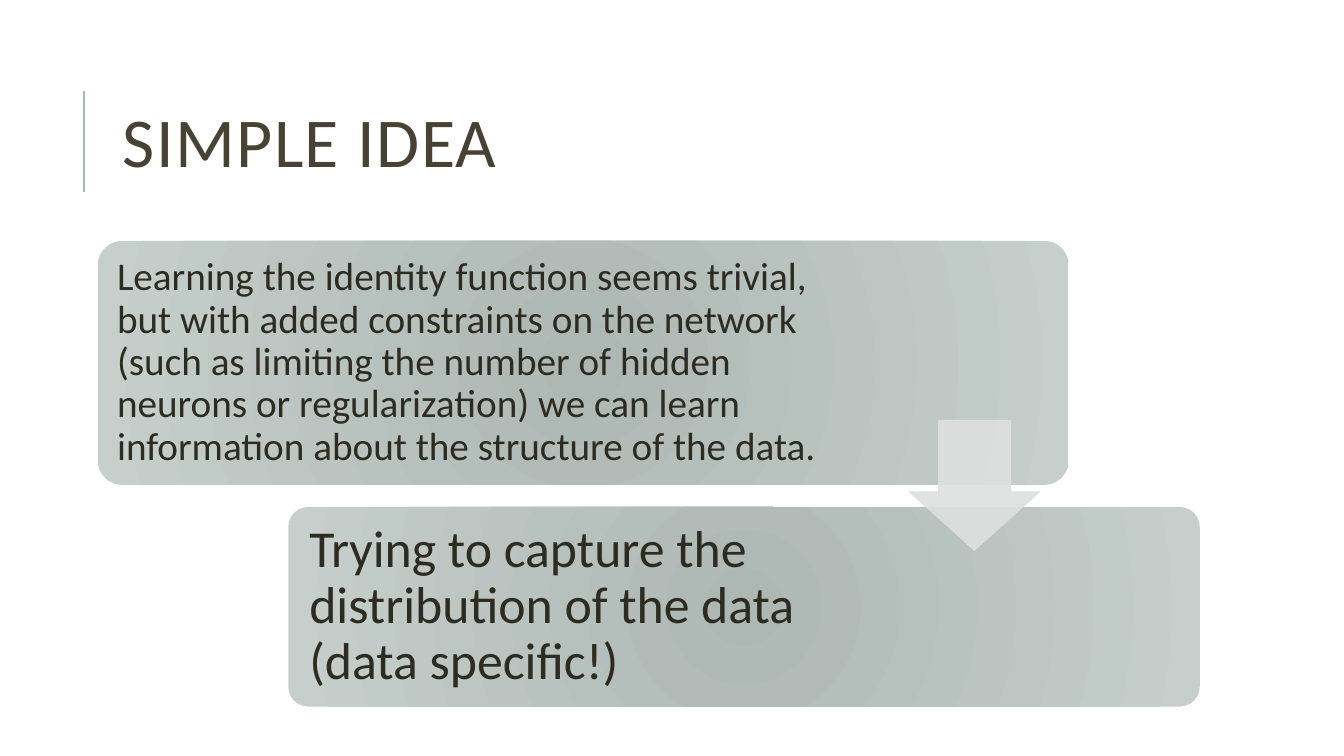
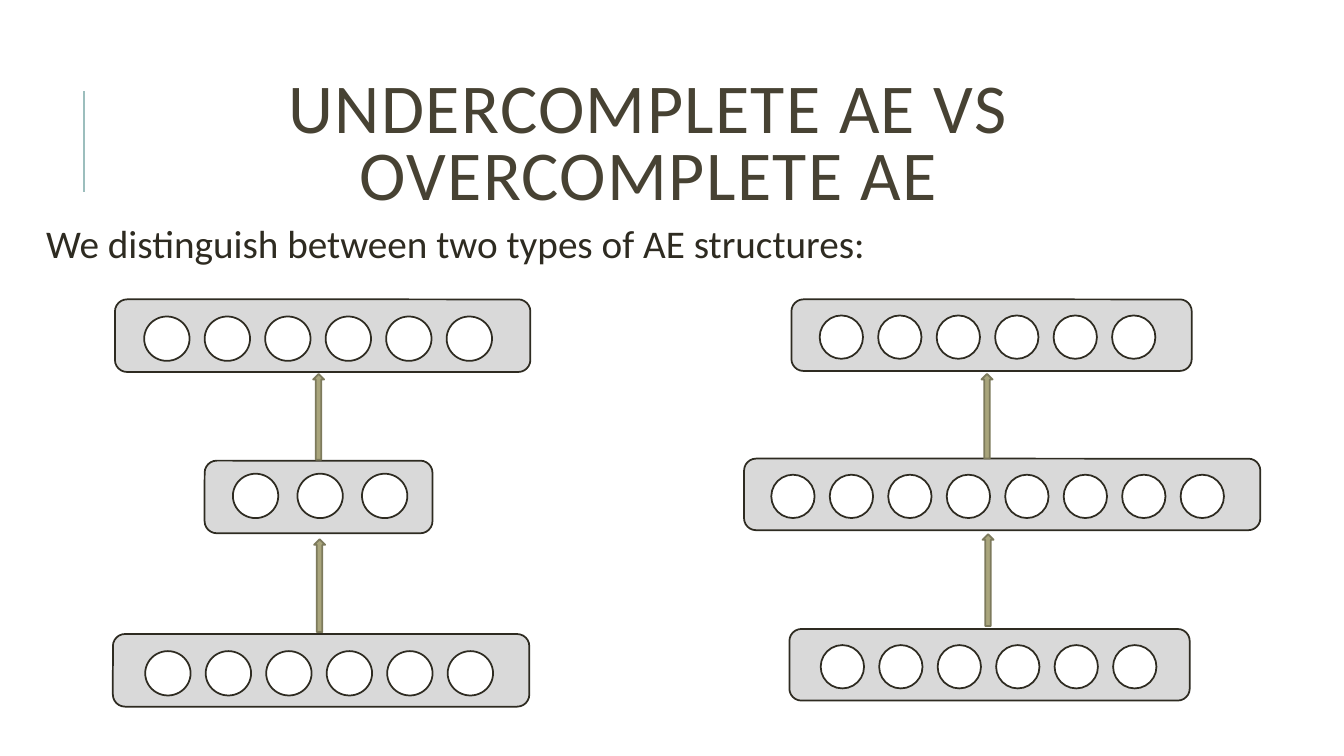
from collections import namedtuple

import lxml.etree
import pptx
import pptx.dml.color
import pptx.enum.shapes
import pptx.enum.text
import pptx.oxml.ns
import pptx.util

Inches = pptx.util.Inches
Pt = pptx.util.Pt
SHAPE = pptx.enum.shapes.MSO_SHAPE
ALIGN = pptx.enum.text.PP_ALIGN
ANCHOR = pptx.enum.text.MSO_ANCHOR
qn = pptx.oxml.ns.qn

FONT = "Calibri"
COLORS = {
    "title": "474233",
    "text": "2E2B21",
    "accent_line": "9CBEBD",
    "card_center": "ADB7B3",
    "card_edge": "C6CFCB",
    "down_arrow": "DDE0DF",
    "layer": "D9D9D9",
    "neuron": "FFFFFF",
    "arrow": "A9A57C",
    "arrow_line": "7D7A5C",
}

# Offsets are inches: layers and arrows from the network's corner,
# the first neuron from the layer's corner.
Layer = namedtuple("Layer", "left top width neurons neuron_left neuron_top")
Arrow = namedtuple("Arrow", "center top height")
Network = namedtuple("Network", "layer_height neuron_size layers arrows")

UNDERCOMPLETE = Network(
    layer_height=0.72,
    neuron_size=(0.45, 0.44),
    layers=[
        (Layer(0.02, 0, 4.12, 6, 0.29, 0.17), 0.6),
        (Layer(0, 3.32, 4.13, 6, 0.32, 0.17), 0.6),
        (Layer(0.91, 1.6, 2.26, 3, 0.28, 0.13), 0.64),
    ],
    arrows=[Arrow(2.05, 2.38, 0.92), Arrow(2.04, 0.74, 0.85)],
)
OVERCOMPLETE = Network(
    layer_height=0.71,
    neuron_size=(0.43, 0.43),
    layers=[
        (Layer(0.47, 0, 3.97, 6, 0.28, 0.16), 0.58),
        (Layer(0.45, 3.27, 3.97, 6, 0.31, 0.16), 0.58),
        (Layer(0, 1.58, 5.12, 8, 0.27, 0.16), 0.58),
    ],
    arrows=[Arrow(2.42, 2.33, 0.91), Arrow(2.41, 0.74, 0.84)],
)


def rgb(name):
    return pptx.dml.color.RGBColor.from_string(COLORS[name])


def add_shape(slide, kind, box, fill=None, line=None, line_width=1.25):
    shape = slide.shapes.add_shape(kind, *map(Inches, box))
    shape.shadow.inherit = False
    if fill:
        shape.fill.solid()
        shape.fill.fore_color.rgb = rgb(fill)
    if line:
        shape.line.color.rgb = rgb(line)
        shape.line.width = Pt(line_width)
    else:
        shape.line.fill.background()
    return shape


def write_text(frame, text, size, color="text", align=ALIGN.LEFT,
               line_spacing=None, anchor=ANCHOR.TOP):
    frame.word_wrap = True
    frame.vertical_anchor = anchor
    paragraph = frame.paragraphs[0]
    paragraph.alignment = align
    paragraph.line_spacing = line_spacing
    run = paragraph.add_run()
    run.text = text
    run.font.name = FONT
    run.font.size = Pt(size)
    run.font.color.rgb = rgb(color)
    return run


def add_title_slide(presentation, title, align=ALIGN.LEFT):
    """Add a blank slide with the shared accent line and title."""
    slide = presentation.slides.add_slide(presentation.slide_layouts[6])
    accent = slide.shapes.add_connector(
        pptx.enum.shapes.MSO_CONNECTOR.STRAIGHT,
        *map(Inches, (0.83, 1.9, 0.83, 0.9)))
    accent.line.color.rgb = rgb("accent_line")
    accent.line.width = Pt(1.5)
    lxml.etree.SubElement(accent._element.spPr, qn("a:effectLst"))

    box = slide.shapes.add_textbox(*map(Inches, (1.12, 0.64, 10.63, 1.64)))
    run = write_text(box.text_frame, title, 50, "title", align, 0.8,
                     ANCHOR.MIDDLE)
    run.font._element.set("spc", "100")
    return slide


def set_radial_fill(shape, center, edge):
    shape.fill.gradient()
    for stop, color in zip(shape.fill.gradient_stops, (center, edge)):
        stop.color.rgb = rgb(color)
    gradient = shape._element.spPr.find(qn("a:gradFill"))
    gradient.remove(gradient.find(qn("a:lin")))
    circle = lxml.etree.SubElement(gradient, qn("a:path"), path="circle")
    lxml.etree.SubElement(circle, qn("a:fillToRect"),
                          l="100000", t="100000", r="100000", b="100000")


def add_card(slide, box, text, size, margin, right_margin):
    card = add_shape(slide, SHAPE.ROUNDED_RECTANGLE, box)
    card.adjustments[0] = 0.1
    set_radial_fill(card, "card_center", "card_edge")
    frame = card.text_frame
    frame.margin_left = frame.margin_top = frame.margin_bottom = Inches(margin)
    frame.margin_right = Inches(right_margin)
    write_text(frame, text, size, line_spacing=0.9, anchor=ANCHOR.MIDDLE)


def add_down_arrow(slide, box):
    arrow = add_shape(slide, SHAPE.DOWN_ARROW, box, "down_arrow",
                      "down_arrow", 0.75)
    arrow.adjustments[0] = 0.55
    arrow.adjustments[1] = 0.45
    for color in arrow._element.spPr.iter(qn("a:srgbClr")):
        lxml.etree.SubElement(color, qn("a:alpha"), val="90000")


def add_network(slide, left, top, network):
    neuron_width, neuron_height = network.neuron_size
    for layer, step in network.layers:
        layer_left, layer_top = left + layer.left, top + layer.top
        add_shape(slide, SHAPE.ROUNDED_RECTANGLE,
                  (layer_left, layer_top, layer.width, network.layer_height),
                  "layer", "text")
        for index in range(layer.neurons):
            add_shape(slide, SHAPE.OVAL,
                      (layer_left + layer.neuron_left + index * step,
                       layer_top + layer.neuron_top,
                       neuron_width, neuron_height),
                      "neuron", "text")
    arrow_width = 0.11
    for arrow in network.arrows:
        add_shape(slide, SHAPE.UP_ARROW,
                  (left + arrow.center - arrow_width / 2, top + arrow.top,
                   arrow_width, arrow.height),
                  "arrow", "arrow_line")


def build_idea_slide(presentation):
    slide = add_title_slide(presentation, "SIMPLE IDEA")
    add_card(slide, (0.97, 2.39, 9.63, 2.42),
             "Learning the identity function seems trivial, but with added "
             "constraints on the network (such as limiting the number of "
             "hidden neurons or regularization) we can learn information "
             "about the structure of the data.", 28, 0.12, 2.18)
    add_card(slide, (2.86, 5.03, 9.04, 1.98),
             "Trying to capture the distribution of the data "
             "(data specific!)", 37, 0.15, 3.03)
    add_down_arrow(slide, (9.02, 4.17, 1.29, 1.29))


def build_comparison_slide(presentation):
    slide = add_title_slide(
        presentation, "UNDERCOMPLETE AE VS OVERCOMPLETE AE", ALIGN.CENTER)
    add_network(slide, 1.12, 2.97, UNDERCOMPLETE)
    add_network(slide, 7.38, 2.97, OVERCOMPLETE)
    intro = slide.shapes.add_textbox(*map(Inches, (0.36, 2.13, 8.36, 0.57)))
    write_text(intro.text_frame,
               "We distinguish between two types of AE structures:", 28)


def main():
    presentation = pptx.Presentation()
    presentation.slide_width = Inches(13.33)
    presentation.slide_height = Inches(7.5)
    build_idea_slide(presentation)
    build_comparison_slide(presentation)
    presentation.save("out.pptx")


if __name__ == "__main__":
    main()
